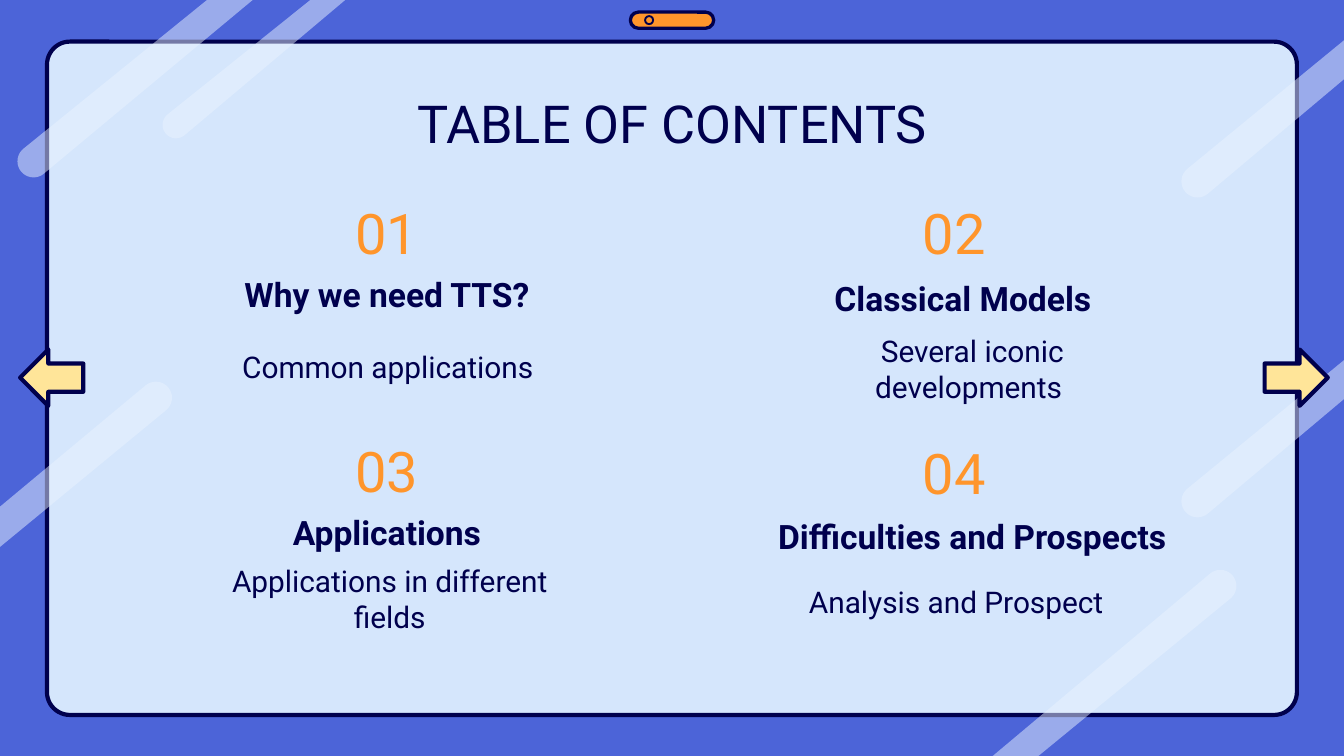
"""Build a table of contents slide with four numbered sections."""
from math import cos, radians, sin

from lxml.etree import SubElement
from pptx import Presentation
from pptx.dml.color import RGBColor
from pptx.enum.shapes import MSO_SHAPE
from pptx.enum.text import MSO_ANCHOR, PP_ALIGN
from pptx.oxml.ns import qn
from pptx.util import Inches, Pt

BLUE = RGBColor(0x4C, 0x64, 0xD8)
PANEL = RGBColor(0xD5, 0xE6, 0xFC)
NAVY = RGBColor(0x00, 0x00, 0x4D)
STREAK = RGBColor(0xE9, 0xF3, 0xFF)
ORANGE = RGBColor(0xFF, 0x95, 0x2B)
YELLOW = RGBColor(0xFF, 0xE5, 0x99)


def add_text(s, text, x, y, w, h, size=16, color=NAVY, bold=False, anchor=MSO_ANCHOR.MIDDLE):
    tf = s.shapes.add_textbox(Inches(x), Inches(y), Inches(w), Inches(h)).text_frame
    tf.word_wrap = True
    tf.vertical_anchor = anchor
    tf.margin_left = tf.margin_right = tf.margin_top = tf.margin_bottom = Inches(0.1)
    p = tf.paragraphs[0]
    p.alignment = PP_ALIGN.CENTER
    r = p.add_run()
    r.text = text
    r.font.name = "Roboto"
    r.font.size = Pt(size)
    r.font.bold = bold
    r.font.color.rgb = color


def add_outlined(s, kind, x, y, w, h, fill, width=2.25):
    sp = s.shapes.add_shape(kind, Inches(x), Inches(y), Inches(w), Inches(h))
    sp.shadow.inherit = False
    sp.fill.solid()
    sp.fill.fore_color.rgb = fill
    sp.line.color.rgb = NAVY
    sp.line.width = Pt(width)
    return sp


prs = Presentation()
prs.slide_width, prs.slide_height = Inches(10), Inches(10 * 9 / 16)
s = prs.slides.add_slide(prs.slide_layouts[6])
s.background.fill.solid()
s.background.fill.fore_color.rgb = BLUE

panel = add_outlined(s, MSO_SHAPE.ROUNDED_RECTANGLE, 0.35, 0.31, 9.3, 5.01, PANEL)
panel.adjustments[0] = 0.034

streaks = [
    (0.25, 1.2, 0.12, 50, (1.88, 0), (1.54, 0)),
    (1.31, 0.93, 0.1, 50, (2.57, 0), (2.31, 0)),
    (9.08, 4.36, 0.12, 230, (7.38, 5.63), (7.72, 5.63)),
    (8.91, 3.73, 0.12, 50, (10, 2.97), (10, 2.68)),
    (8.91, 1.35, 0.12, 50, (10, 0.59), (10, 0.3)),
    (1.16, 2.96, 0.12, 230, (0, 3.77), (0, 4.07)),
]
for cx, cy, radius, start, first, last in streaks:
    angles = [radians(a) for a in range(start, start + 181, 10)]
    cap = [(cx + radius * cos(a), cy + radius * sin(a)) for a in angles]
    builder = s.shapes.build_freeform(Inches(first[0]), Inches(first[1]))
    builder.add_line_segments([(Inches(x), Inches(y)) for x, y in cap + [last]])
    sp = builder.convert_to_shape()
    sp.shadow.inherit = False
    sp.line.fill.background()
    sp.fill.solid()
    sp.fill.fore_color.rgb = STREAK
    color = sp._element.spPr.find(qn("a:solidFill"))[0]
    SubElement(color, qn("a:alpha")).set("val", "50000")

pill = add_outlined(s, MSO_SHAPE.ROUNDED_RECTANGLE, 4.69, 0.09, 0.62, 0.12, ORANGE, 1.75)
pill.adjustments[0] = 0.5
add_outlined(s, MSO_SHAPE.OVAL, 4.8, 0.12, 0.06, 0.06, ORANGE, 1)

add_text(s, "TABLE OF CONTENTS", 0.79, 0.58, 8.42, 0.63, size=28, anchor=MSO_ANCHOR.TOP)

sections = [
    (2.48, 1.52, "Why we need TTS?", (1.1, 1.98, 3.56),
     "Common applications", (1.59, 2.32, 2.59, 0.81)),
    (6.7, 1.52, "Classical Models", (4.97, 2.01, 4.39),
     "Several iconic developments ", (5.77, 2.34, 2.93, 0.81)),
    (2.48, 3.29, "Applications", (1.1, 3.75, 3.56),
     "Applications in different fields", (1.36, 4.17, 3.08, 0.57)),
    (6.7, 3.3, "Difficulties and Prospects", (4.67, 3.78, 5.13),
     "Analysis and Prospect", (5.48, 4.16, 3.27, 0.63)),
]
for n, (x, y, heading, heading_box, detail, detail_box) in enumerate(sections, 1):
    add_text(s, f"{n:02}", x, y, 0.8, 0.42, size=30, color=ORANGE)
    add_text(s, heading, *heading_box, 0.42, size=18, bold=True)
    add_text(s, detail, *detail_box)

for kind, x in ((MSO_SHAPE.LEFT_ARROW, 0.15), (MSO_SHAPE.RIGHT_ARROW, 9.41)):
    add_outlined(s, kind, x, 2.6, 0.47, 0.42, YELLOW)

prs.save("out.pptx")
